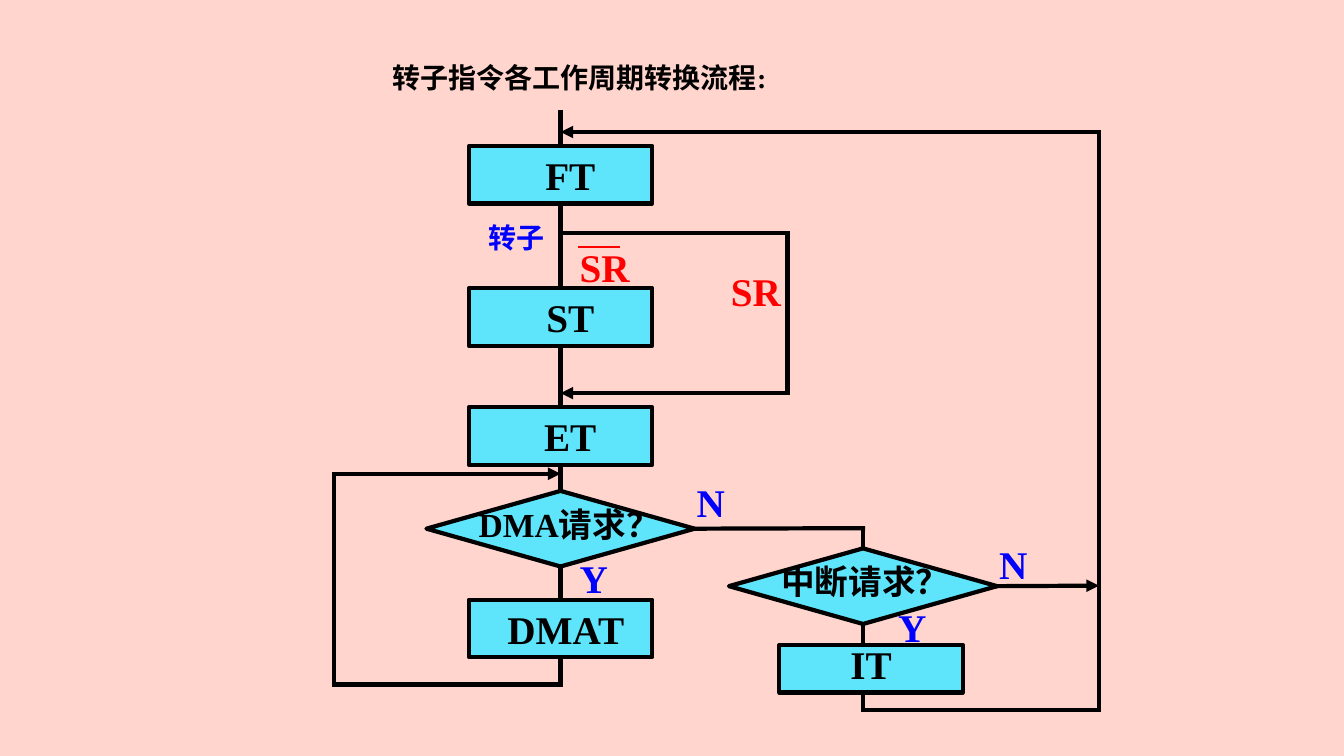
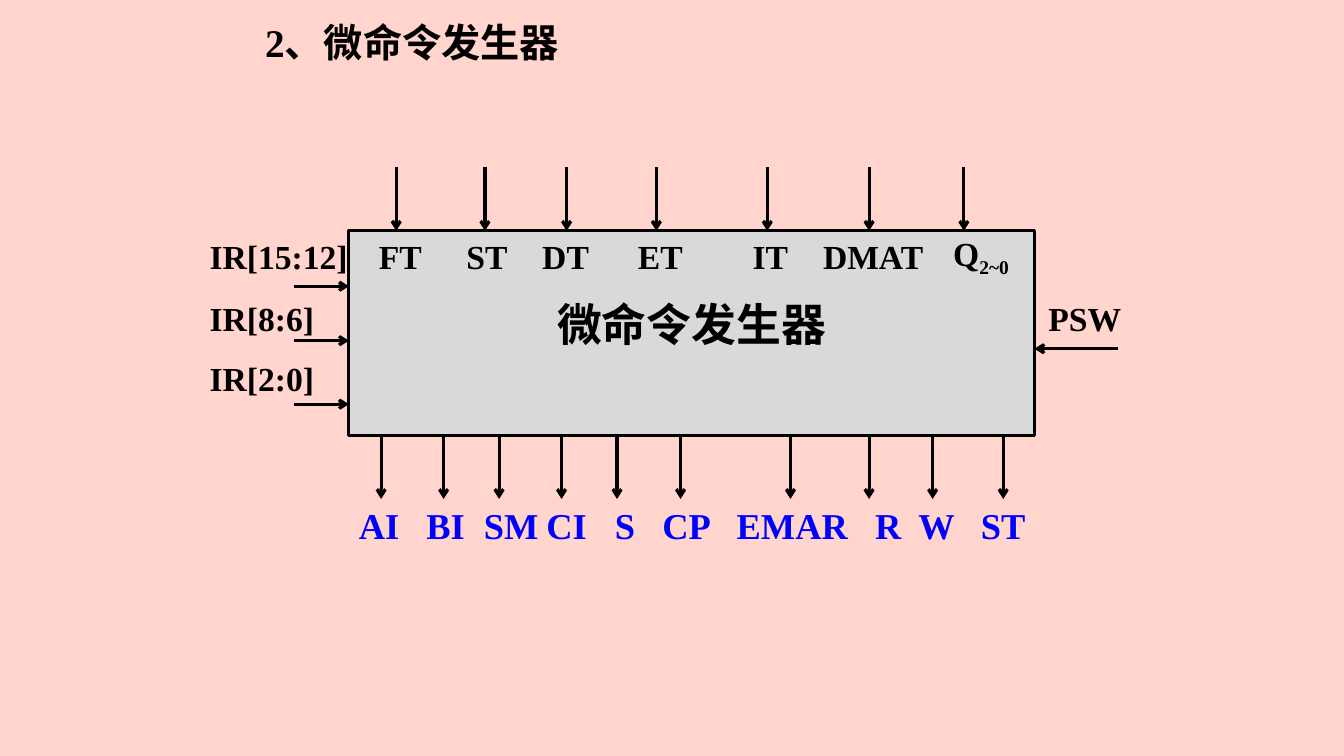
from lxml.etree import SubElement
from pptx import Presentation
from pptx.dml.color import RGBColor
from pptx.enum.shapes import MSO_CONNECTOR as Connector, MSO_SHAPE as Shape
from pptx.enum.text import MSO_ANCHOR as Anchor, MSO_AUTO_SIZE as AutoSize, PP_ALIGN as Align
from pptx.oxml.ns import qn
from pptx.util import Pt

PX = 9144  # 100 px to the inch
LATIN, CJK = "Times New Roman", "Noto Sans CJK SC"
PINK, CYAN, GREY = "FFD5CD", "5EE5FC", "D9D9D9"
BLACK, BLUE, RED = "000000", "0000FF", "FF0000"
TOP, LEFT, BOTTOM, RIGHT = range(4)  # connection sites

# Flowchart: name, preset, box, text, left and bottom insets, anchor
SPINE, BRANCH, LOOP, RETURN = 556, 856, 331, 1090
STEPS = [
    ("FT", Shape.RECTANGLE, (465, 145, 182, 57), "FT", 29, Anchor.MIDDLE),
    ("ST", Shape.RECTANGLE, (465, 286, 182, 57), "ST", 29, Anchor.MIDDLE),
    ("ET", Shape.RECTANGLE, (465, 404, 182, 57), "ET", 29, Anchor.MIDDLE),
    ("DMAT", Shape.RECTANGLE, (465, 595, 182, 57), "DMAT", 20, Anchor.MIDDLE),
    ("IT", Shape.RECTANGLE, (773, 640, 182, 47), "IT", 10, Anchor.BOTTOM),
    ("DMA?", Shape.FLOWCHART_DECISION, (423, 487, 266, 75), "", 10, Anchor.MIDDLE),
    ("INT?", Shape.FLOWCHART_DECISION, (723, 544, 266, 75), "", 10, Anchor.MIDDLE),
]
# A point is (x, y) or (step, site); the flag asks for an arrowhead
ROUTES = [
    ([(SPINE, 111), ("FT", TOP)], False),
    ([("FT", BOTTOM), ("ST", TOP)], False),
    ([("ST", BOTTOM), ("ET", TOP)], False),
    ([("ET", BOTTOM), ("DMA?", TOP)], False),
    ([("DMA?", BOTTOM), ("DMAT", TOP)], False),
    ([("INT?", BOTTOM), (BRANCH, 640)], False),
    ([(SPINE, 231), (781, 231), (781, 390), (SPINE, 390)], True),
    ([("DMAT", BOTTOM), (SPINE, 679), (LOOP, 679), (LOOP, 470), (SPINE, 470)], True),
    ([("DMA?", RIGHT), (BRANCH, 524), ("INT?", TOP)], False),
    ([("INT?", RIGHT), (RETURN, 581)], True),
    ([(BRANCH, 687), (BRANCH, 704), (RETURN, 704), (RETURN, 131), (SPINE, 131)], True),
]
FLOW_LABELS = [  # text, left, top, width, size, colour
    ("转子", 475, 214, 80, 20, BLUE),
    ("SR", 565, 236, 100, 28, RED),
    ("SR", 715, 260, 71, 28, RED),
    ("DMA请求？", 465, 495, 217, 24, BLACK),
    ("中断请求？", 765, 552, 217, 24, BLACK),
    ("Y", 565, 545, 75, 28, BLUE),
    ("N", 681, 470, 75, 28, BLUE),
    ("Y", 881, 594, 75, 28, BLUE),
    ("N", 981, 531, 75, 28, BLUE),
]

# Generator: block box, then text with arrow and label places
BLOCK = (346, 229, 680, 203)
ARROW_LENGTH = 63
INPUTS = [  # text, arrow x, label centre
    ("FT", 393, 397), ("ST", 481, 483), ("DT", 562, 561), ("ET", 651, 655),
    ("IT", 761, 764), ("DMAT", 862, 866), ("Q", 956, 973),
]
OUTPUTS = [
    ("AI", 378, 376), ("BI", 440, 442), ("SM", 495, 507), ("CI", 557, 562),
    ("S", 612, 620), ("CP", 675, 681), ("EMAR", 784, 786), ("R", 862, 881),
    ("W", 925, 929), ("ST", 995, 995),
]
REGISTERS = [("IR[15:12]", 229, 284), ("IR[8:6]", 291, 338), ("IR[2:0]", 350, 401)]


def color(value):
    return RGBColor.from_string(value)


def px(*values):
    return [round(value * PX) for value in values]


def write(shape, text, size=28, fill=BLACK, align=Align.LEFT, anchor=Anchor.TOP,
          font=LATIN, left=10, bottom=5, subscript=""):
    frame = shape.text_frame
    frame.word_wrap, frame.auto_size = True, AutoSize.NONE
    frame.vertical_anchor = anchor
    frame.margin_left, frame.margin_bottom = px(left, bottom)
    paragraph = frame.paragraphs[0]
    paragraph.alignment = align
    for part in filter(None, (text, subscript)):
        run = paragraph.add_run()
        run.text = part
        run.font.name, run.font.size, run.font.bold = font, Pt(size), True
        run.font.color.rgb = color(fill)
        properties = run._r.get_or_add_rPr()
        SubElement(properties, qn("a:ea"), typeface=CJK)
    if subscript:
        properties.set("baseline", "-25000")


def add_text(slide, text, left, top, width, height=57, **style):
    box = slide.shapes.add_textbox(*px(left, top, width, height))
    write(box, text, **style)


def add_box(slide, preset, box, fill, weight):
    shape = slide.shapes.add_shape(preset, *px(*box))
    shape.shadow.inherit = False
    shape.fill.solid()
    shape.fill.fore_color.rgb = color(fill)
    shape.line.color.rgb = color(BLACK)
    shape.line.width = Pt(weight)
    return shape


def add_line(slide, start, end, weight=2.25, fill=BLACK, head=None, cap="flat"):
    line = slide.shapes.add_connector(Connector.STRAIGHT, *px(*start, *end))
    line.line.color.rgb = color(fill)
    line.line.width = Pt(weight)
    outline = line.line._get_or_add_ln()
    outline.set("cap", cap)
    if head:
        SubElement(outline, qn("a:tailEnd"), type=head)
    SubElement(line._element.spPr, qn("a:effectLst"))
    return line


def add_route(slide, steps, points, arrow):
    """Draw straight segments, joined to the steps they touch."""
    def place(point):
        if point[0] not in steps:
            return point
        shape, site = steps[point[0]], point[1]
        across, down = [(0.5, 0), (0, 0.5), (0.5, 1), (1, 0.5)][site]
        return ((shape.left + shape.width * across) / PX,
                (shape.top + shape.height * down) / PX)

    for index, (start, end) in enumerate(zip(points, points[1:])):
        last = index == len(points) - 2
        line = add_line(slide, place(start), place(end), 3,
                        head="triangle" if arrow and last else None, cap="sq")
        if start[0] in steps:
            line.begin_connect(steps[start[0]], start[1])
        if end[0] in steps:
            line.end_connect(steps[end[0]], end[1])


def add_slide(presentation, title, box, size):
    slide = presentation.slides.add_slide(presentation.slide_layouts[5])
    shape = slide.shapes.title
    shape.left, shape.top, shape.width, shape.height = px(*box)
    write(shape, title, size=size)
    return slide


def build_flowchart(presentation):
    slide = add_slide(presentation, "转子指令各工作周期转换流程:", (379, 55, 468, 44), 20)
    steps = {}
    for name, preset, box, text, inset, anchor in STEPS:
        steps[name] = add_box(slide, preset, box, CYAN, 3)
        if text:
            write(steps[name], text, align=Align.CENTER, anchor=anchor, left=inset)
    for points, arrow in ROUTES:
        add_route(slide, steps, points, arrow)
    for text, left, top, width, size, fill in FLOW_LABELS:
        add_text(slide, text, left, top, width, size=size, fill=fill)
    # Bar over SR
    add_line(slide, (573, 245), (615, 245), 1.5, RED)


def build_generator(presentation):
    slide = add_slide(presentation, "2、微命令发生器", (253, 13, 351, 57), 28)
    left, top, width, height = BLOCK
    right, bottom = left + width, top + height
    block = add_box(slide, Shape.RECTANGLE, BLOCK, GREY, 2.25)
    write(block, "微命令发生器", size=32, font=CJK, align=Align.CENTER,
          anchor=Anchor.MIDDLE, bottom=23)

    # Inputs above and outputs below
    for text, x, centre in INPUTS:
        add_line(slide, (x, top - ARROW_LENGTH), (x, top), head="arrow")
        subscript = "2~0" if text == "Q" else ""
        add_text(slide, text, centre - 65, top - 3 if subscript else top, 130, 51,
                 size=24, align=Align.CENTER, subscript=subscript)
    for text, x, centre in OUTPUTS:
        add_line(slide, (x, bottom), (x, bottom + ARROW_LENGTH), head="arrow")
        add_text(slide, text, centre - 70, bottom + 62, 140, 54,
                 size=26, fill=BLUE, align=Align.CENTER)

    # Registers at the sides
    for text, label_top, y in REGISTERS:
        add_line(slide, (292, y), (left, y), head="arrow")
        add_text(slide, text, 198, label_top, 170, 50, size=24)
    add_line(slide, (1109, 346), (right, 346), head="arrow")
    add_text(slide, "PSW", 1030, 291, 110, 50, size=24)


def main():
    presentation = Presentation()
    presentation.slide_width, presentation.slide_height = px(1333, 750)
    background = presentation.slide_master.background.fill
    background.solid()
    background.fore_color.rgb = color(PINK)
    build_flowchart(presentation)
    build_generator(presentation)
    presentation.save("out.pptx")


if __name__ == "__main__":
    main()
